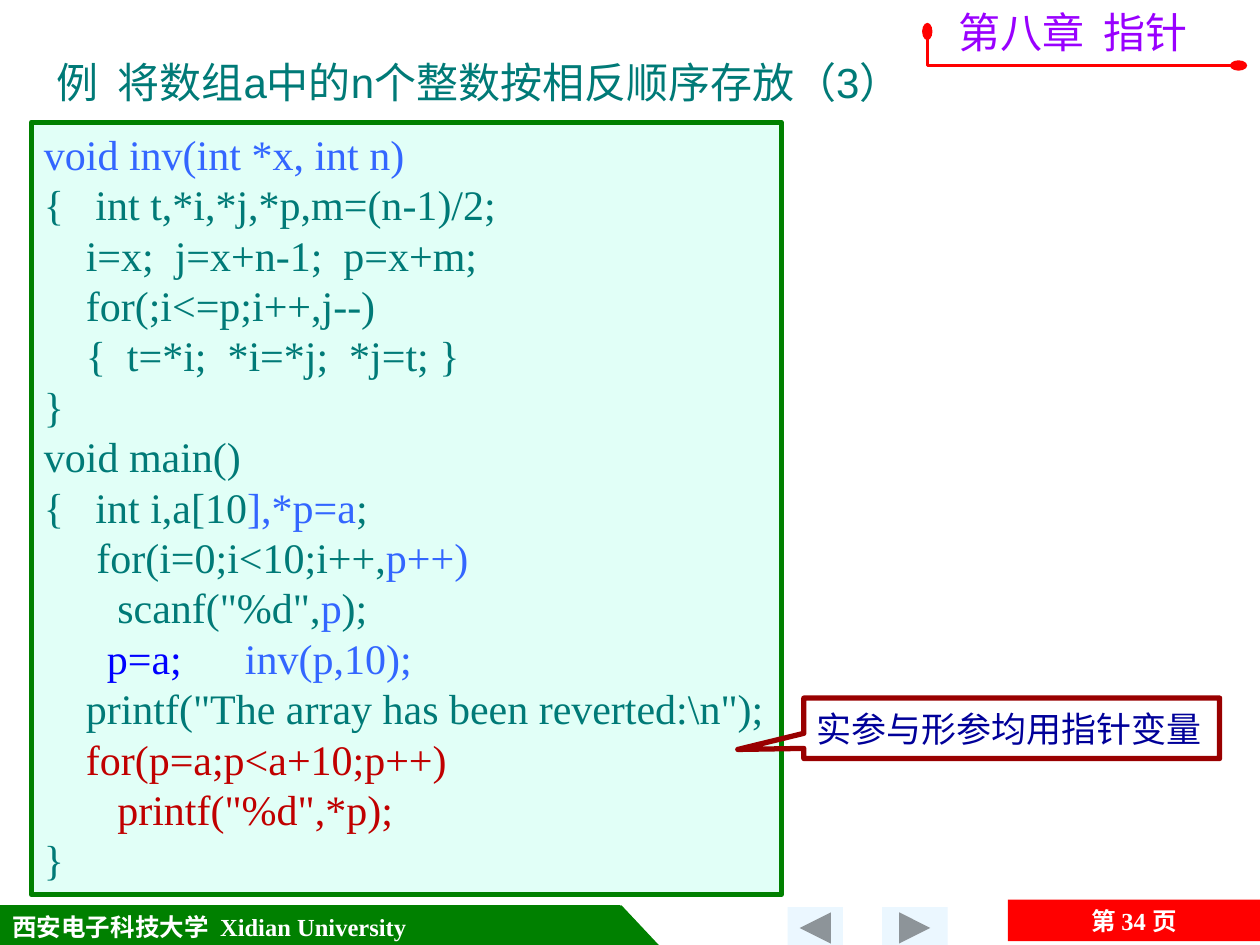
import pptx
import pptx.util
import pptx.dml.color
import pptx.enum.shapes
import pptx.enum.text
import pptx.oxml.ns
import lxml.etree

Inches = pptx.util.Inches
Pt = pptx.util.Pt
KIND = pptx.enum.shapes.MSO_SHAPE
ALIGN = pptx.enum.text.PP_ALIGN
ANCHOR = pptx.enum.text.MSO_ANCHOR
ROMAN, SANS, HAN = "Times New Roman", "Arial", "Noto Sans CJK SC"

COLORS = {
    "green": "008000", "red": "FF0000", "white": "FFFFFF", "ice": "EBF7FF",
    "mint": "E1FFF7", "teal": "007A77", "sky": "3366FF", "blue": "0000FF",
    "brick": "C00000", "maroon": "990000", "navy": "000099", "purple": "9900FF",
}

CODE = [
    [("void inv(int *x, int n)", "sky")],
    [("{   int t,*i,*j,*p,m=(n-1)/2;", "teal")],
    [("    i=x;  j=x+n-1;  p=x+m;", "teal")],
    [("    for(;i<=p;i++,j--)", "teal")],
    [("    {  t=*i;  *i=*j;  *j=t; }", "teal")],
    [("}", "teal")],
    [("void main()", "teal")],
    [("{   int i,a[10", "teal"), ("],*p=a", "sky"), (";", "teal")],
    [("     for(i=0;i<10;i++,", "teal"), ("p++)", "sky")],
    [("       scanf(\"%d\",", "teal"), ("p", "sky"), (");", "teal")],
    [("      ", "teal"), ("p=a;      ", "blue"), ("inv(p,10);", "sky")],
    [("    printf(\"The array has been reverted:\\n\");", "teal")],
    [("    for(p=a;p<a+10;p++)", "brick")],
    [("       printf(\"%d\",*p);", "brick")],
    [("}", "teal")],
]


def color(name):
    return pptx.dml.color.RGBColor.from_string(COLORS[name])


def add_run(para, text, size, tint, face=ROMAN, bold=False):
    run = para.add_run()
    run.text = text
    font = run.font
    font.size = Pt(size)
    font.bold = bold
    font.color.rgb = color(tint)
    font.name = face
    east = lxml.etree.SubElement(run._r.get_or_add_rPr(), pptx.oxml.ns.qn("a:ea"))
    east.set("typeface", HAN)


def set_frame(shape, anchor=ANCHOR.MIDDLE, align=ALIGN.LEFT, right=0):
    frame = shape.text_frame
    frame.word_wrap = True
    frame.auto_size = pptx.enum.text.MSO_AUTO_SIZE.NONE
    frame.vertical_anchor = anchor
    frame.margin_right = Inches(right)
    para = frame.paragraphs[0]
    para.alignment = align
    return para


def style(shape, fill=None, line=None, width=0.75):
    shape.shadow.inherit = False
    if fill:
        shape.fill.solid()
        shape.fill.fore_color.rgb = color(fill)
    else:
        shape.fill.background()
    if line:
        shape.line.color.rgb = color(line)
        shape.line.width = Pt(width)
    else:
        shape.line.fill.background()


def add_box(slide, kind, area, fill=None, line=None, width=0.75):
    shape = slide.shapes.add_shape(kind, *map(Inches, area))
    style(shape, fill, line, width)
    return shape


def add_foot(slide):
    band = add_box(slide, KIND.RECTANGLE, (0, 7.19, 4.92, 0.33), "green", "green")
    add_run(set_frame(band), "西安电子科技大学  Xidian University", 14, "white", bold=True)
    add_box(slide, KIND.RIGHT_TRIANGLE, (4.93, 7.19, 0.31, 0.33), "green", "green")
    for left, wide, turn in ((7, 0.52, 0), (6.25, 0.44, 180)):
        area = (left, 7.2, wide, 0.33)
        button = add_box(slide, KIND.ACTION_BUTTON_FORWARD_OR_NEXT, area, "ice")
        button.rotation = turn
    page = add_box(slide, KIND.RECTANGLE, (8, 7.14, 2, 0.33), "red")
    para = set_frame(page, align=ALIGN.CENTER, right=0.1)
    for text, face in (("第 ", HAN), ("34 ", ROMAN), ("页", HAN)):
        add_run(para, text, 14, "white", face, True)


def add_code(slide):
    panel = add_box(slide, KIND.RECTANGLE, (0.25, 0.97, 5.95, 6.13), "mint", "green", 3)
    para = set_frame(panel, ANCHOR.TOP)
    for row, parts in enumerate(CODE):
        if row:
            para = panel.text_frame.add_paragraph()
        para.alignment = ALIGN.LEFT
        para.line_spacing = Pt(28.8)
        for text, tint in parts:
            add_run(para, text, 24, tint)


def add_note(slide):
    area = (6.38, 5.54, 3.3, 0.48)
    note = add_box(slide, KIND.RECTANGULAR_CALLOUT, area, None, "maroon", 3)
    note.adjustments[0] = -0.659
    note.adjustments[1] = 0.35
    add_run(set_frame(note), "实参与形参均用指针变量", 20, "navy")


def add_title(slide):
    title = slide.shapes.title
    title.left, title.top = Inches(0.35), Inches(0.28)
    title.width, title.height = Inches(8.5), Inches(0.62)
    para = set_frame(title, ANCHOR.BOTTOM)
    add_run(para, "例  将数组a中的n个整数按相反顺序存放（3）", 24, "teal", SANS)


def add_head(slide):
    label = slide.shapes.add_textbox(*map(Inches, (7.51, 0, 2.2, 0.5)))
    add_run(set_frame(label, ANCHOR.TOP), "第八章  指针", 24, "purple", HAN)
    path = slide.shapes.build_freeform(Inches(7.36), Inches(0.25))
    points = [(Inches(x), Inches(0.52)) for x in (7.36, 9.83)]
    path.add_line_segments(points, close=False)
    rule = path.convert_to_shape()
    style(rule, None, "red", 1.5)
    line = rule.line._get_or_add_ln()
    for tag in ("a:headEnd", "a:tailEnd"):
        end = lxml.etree.SubElement(line, pptx.oxml.ns.qn(tag))
        end.set("type", "oval")
        end.set("w", "med")
        end.set("len", "lg")


def main():
    deck = pptx.Presentation()
    deck.slide_width, deck.slide_height = Inches(10), Inches(7.5)
    slide = deck.slides.add_slide(deck.slide_layouts[5])
    add_foot(slide)
    add_code(slide)
    add_note(slide)
    add_title(slide)
    add_head(slide)
    deck.save("out.pptx")


if __name__ == "__main__":
    main()
